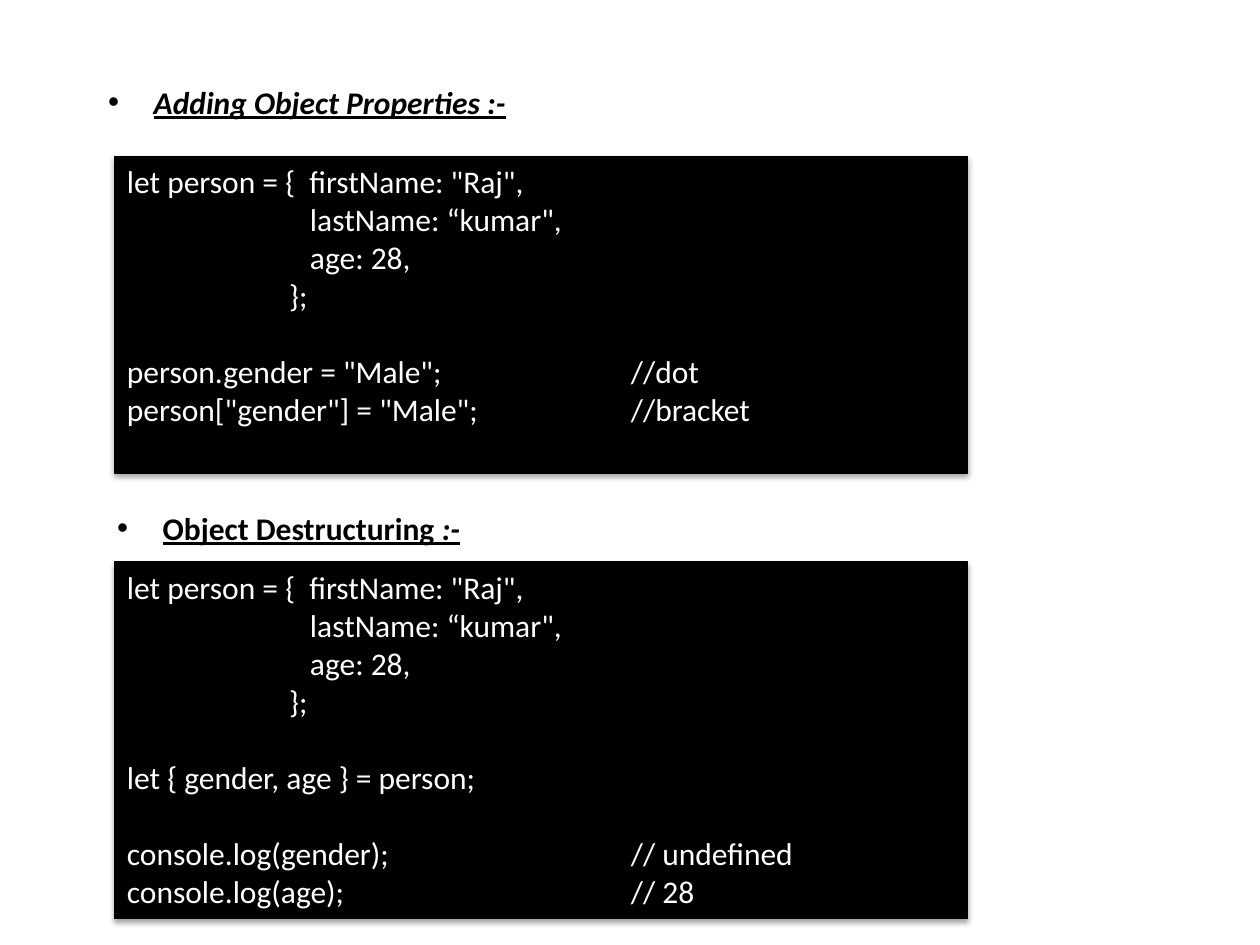
from dataclasses import dataclass

from lxml import etree
from pptx import Presentation
from pptx.dml.color import RGBColor
from pptx.enum.shapes import MSO_SHAPE
from pptx.enum.text import MSO_ANCHOR, PP_ALIGN
from pptx.oxml.ns import qn
from pptx.util import Cm, Pt

RECTANGLE = MSO_SHAPE.RECTANGLE
TOP = MSO_ANCHOR.TOP
LEFT = PP_ALIGN.LEFT

FONT = "Calibri"
SIZE = Pt(18)
BLACK, WHITE = "000000", "FFFFFF"
PANEL_LEFT, PANEL_WIDTH = 2.31, 17.2
HEADING_WIDTH, HEADING_HEIGHT = 12.4, 1.02
HEADING_TAB = 0.92
COMMENT_TAB = 10.16
FIELD_INDENT, BRACE_INDENT = 3.69, 3.27
LINE_GAP = Pt(22)


@dataclass
class CodeLine:
    text: str
    indent: float = 0
    gap_before: bool = False


@dataclass
class Section:
    heading: list[tuple[str, bool]]  # text and whether it is italic
    heading_left: float
    heading_top: float
    panel_top: float
    panel_height: float
    code: list[CodeLine]


PERSON = [
    CodeLine('let person = {  firstName: "Raj",'),
    CodeLine('lastName: “kumar",', FIELD_INDENT),
    CodeLine("age: 28,", FIELD_INDENT),
    CodeLine("};", BRACE_INDENT),
]

SECTIONS = [
    Section(
        [("\tAdding Object Properties :-", True)], 1.93, 1.55, 3.15, 6.4,
        PERSON + [
            CodeLine('person.gender = "Male";\t//dot', gap_before=True),
            CodeLine('person["gender"] = "Male";\t//bracket'),
        ],
    ),
    Section(
        [("\tObject Destructuring", False), (" :-", True)], 2.11, 10.13, 11.33, 7.19,
        PERSON + [
            CodeLine("let { gender, age } = person;", gap_before=True),
            CodeLine("console.log(gender);\t// undefined", gap_before=True),
            CodeLine("console.log(age);\t// 28"),
        ],
    ),
]


def color(value: str) -> RGBColor:
    return RGBColor.from_string(value)


def style_span(span, value: str) -> None:
    span.font.name = FONT
    span.font.size = SIZE
    span.font.color.rgb = color(value)


def add_tab_stop(para, position: float) -> None:
    stops = etree.SubElement(para._p.get_or_add_pPr(), qn("a:tabLst"))
    etree.SubElement(stops, qn("a:tab"), pos=str(Cm(position)), algn="l")


def add_bullet(para) -> None:
    settings = para._p.get_or_add_pPr()
    etree.SubElement(settings, qn("a:buFont"), typeface="Arial")
    etree.SubElement(settings, qn("a:buChar"), char="•")


def add_soft_shadow(shape) -> None:
    shape.shadow.inherit = False
    effects = shape._element.spPr.find(qn("a:effectLst"))
    shadow = etree.SubElement(
        effects, qn("a:outerShdw"), blurRad=str(Pt(3.1)), dist=str(Pt(1.8)),
        dir="5400000", rotWithShape="0",
    )
    tint = etree.SubElement(shadow, qn("a:srgbClr"), val=BLACK)
    etree.SubElement(tint, qn("a:alpha"), val="35000")


def add_heading(page, section: Section) -> None:
    box = page.shapes.add_textbox(
        Cm(section.heading_left), Cm(section.heading_top),
        Cm(HEADING_WIDTH), Cm(HEADING_HEIGHT),
    )
    box.text_frame.word_wrap = True
    para = box.text_frame.paragraphs[0]
    add_bullet(para)
    add_tab_stop(para, HEADING_TAB)
    for text, italic in section.heading:
        span = para.add_run()
        span.text = text
        style_span(span, BLACK)
        span.font.bold = True
        span.font.underline = True
        span.font.italic = italic


def add_code_panel(page, section: Section) -> None:
    panel = page.shapes.add_shape(
        RECTANGLE, Cm(PANEL_LEFT), Cm(section.panel_top),
        Cm(PANEL_WIDTH), Cm(section.panel_height),
    )
    panel.fill.solid()
    panel.fill.fore_color.rgb = color(BLACK)
    panel.line.color.rgb = color(BLACK)
    panel.line.width = Pt(0.75)
    add_soft_shadow(panel)

    frame = panel.text_frame
    frame.word_wrap = True
    frame.vertical_anchor = TOP
    frame.text = "\n".join(line.text for line in section.code)
    for para, line in zip(frame.paragraphs, section.code):
        para.alignment = LEFT
        if line.gap_before:
            para.space_before = LINE_GAP
        if line.indent:
            settings = para._p.get_or_add_pPr()
            settings.set("marL", str(Cm(line.indent)))
            settings.set("indent", "0")
        if "\t" in line.text:
            add_tab_stop(para, COMMENT_TAB)
        for span in para.runs:
            style_span(span, WHITE)


def main() -> None:
    deck = Presentation()
    deck.slide_width, deck.slide_height = Cm(25.4), Cm(19.05)
    page = deck.slides.add_slide(deck.slide_layouts[6])

    # Each section is a bulleted heading above a code panel
    for section in SECTIONS:
        add_heading(page, section)
        add_code_panel(page, section)

    deck.save("out.pptx")


if __name__ == "__main__":
    main()
